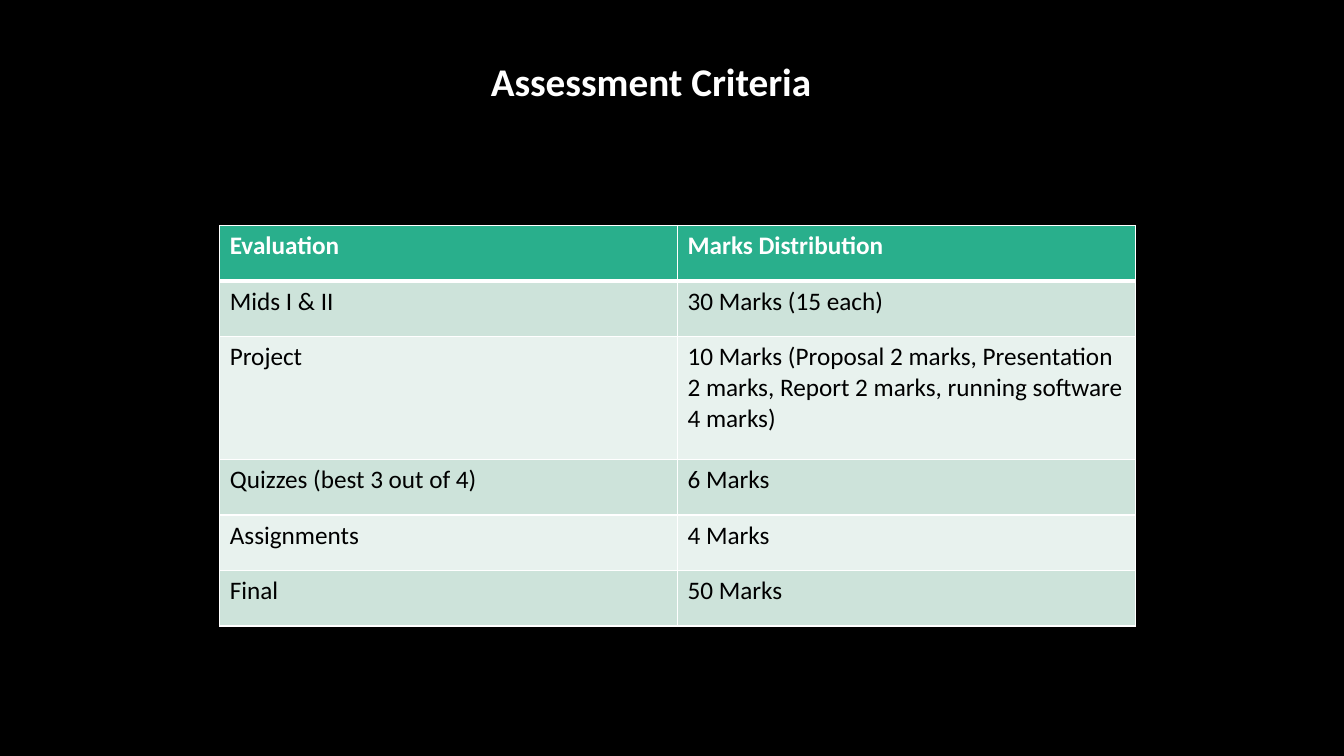
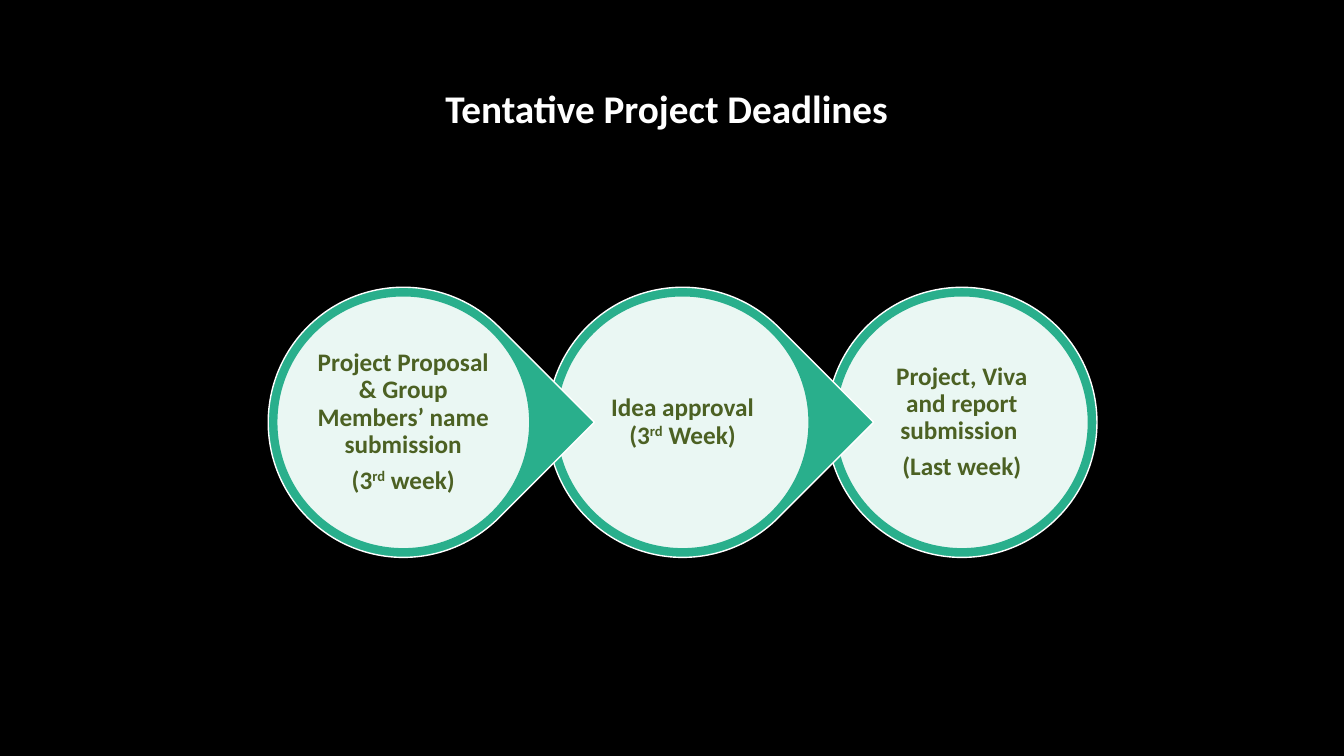
from dataclasses import dataclass
from typing import Any

from lxml.etree import SubElement
from pptx import Presentation
from pptx.dml.color import RGBColor
from pptx.enum.shapes import MSO_SHAPE as Preset
from pptx.enum.text import MSO_ANCHOR as Anchor, MSO_AUTO_SIZE as AutoSize, PP_ALIGN as Align
from pptx.oxml.ns import qn
from pptx.util import Inches, Pt

COLORS = {
    "black": "000000",
    "white": "FFFFFF",
    "green": "29AF8C",
    "band_dark": "CDE3DA",
    "band_light": "E8F2EE",
    "olive": "4C6123",
}
TITLE = {"name": "Calibri", "size": Pt(28), "bold": True, "color": "white"}
HEADER = {"name": "Calibri", "size": Pt(18), "bold": True, "color": "white"}
BODY = {**HEADER, "bold": False, "color": "black"}
STAGE = {**HEADER, "color": "olive"}

MARKS = [
    ("Evaluation", "Marks Distribution"),
    ("Mids I & II", "30 Marks (15 each)"),
    ("Project", "10 Marks (Proposal 2 marks, Presentation 2 marks, "
                "Report 2 marks, running software 4 marks)"),
    ("Quizzes (best 3 out of 4)", "6 Marks"),
    ("Assignments", "4 Marks"),
    ("Final", "50 Marks"),
]
ROW_HEIGHT = 0.55
PROJECT_ROW_HEIGHT = 1.22
COLUMN_WIDTH = 4.54

STAGE_LEFT, STAGE_TOP, STAGE_PITCH = 2.66, 2.85, 2.77
OUTER_SIZE, INNER_SIZE = 2.68, 2.51


@dataclass(frozen=True)
class Span:
    text: str
    raised: bool = False


@dataclass(frozen=True)
class Stage:
    paragraphs: tuple[tuple[Span, ...], ...]
    preset: Preset = Preset.TEAR
    rotation: int = 45


ORDINAL = Span("rd", raised=True)
STAGES = [
    Stage((
        (Span("Project Proposal & Group Members’ name submission"),),
        (Span("(3"), ORDINAL, Span(" week)")),
    )),
    Stage(((Span("Idea approval (3"), ORDINAL, Span(" Week)")),)),
    Stage((
        (Span("Project, Viva and report submission "),),
        (Span("(Last week)"),),
    ), Preset.OVAL, 0),
]


def rgb(name: str) -> RGBColor:
    return RGBColor.from_string(COLORS[name])


def add_span(para: Any, span: Span, style: dict[str, Any]) -> None:
    run = para.add_run()
    run.text = span.text
    for key, value in style.items():
        if key == "color":
            run.font.color.rgb = rgb(value)
        else:
            setattr(run.font, key, value)
    if span.raised:
        run._r.get_or_add_rPr().set("baseline", "30000")


def add_page(deck: Any, title: str, left: float, top: float) -> Any:
    page = deck.slides.add_slide(deck.slide_layouts[6])
    page.background.fill.solid()
    page.background.fill.fore_color.rgb = rgb("black")
    box = page.shapes.add_textbox(Inches(left), Inches(top), Inches(5.24), Inches(0.57))
    box.text_frame.word_wrap = True
    box.text_frame.auto_size = AutoSize.SHAPE_TO_FIT_TEXT
    add_span(box.text_frame.paragraphs[0], Span(title), TITLE)
    return page


def add_borders(cell: Any, widths: dict[str, int]) -> None:
    properties = cell._tc.get_or_add_tcPr()
    for side, width in widths.items():
        line = SubElement(properties, qn(f"a:ln{side}"), w=str(Pt(width)))
        fill = SubElement(line, qn("a:solidFill"))
        SubElement(fill, qn("a:srgbClr"), val=COLORS["white"])


def add_marks_table(page: Any) -> None:
    heights = [ROW_HEIGHT] * len(MARKS)
    heights[2] = PROJECT_ROW_HEIGHT
    table = page.shapes.add_table(
        len(MARKS), 2, Inches(2.18), Inches(2.24),
        Inches(2 * COLUMN_WIDTH), Inches(sum(heights)),
    ).table
    table.horz_banding = False
    for column in table.columns:
        column.width = Inches(COLUMN_WIDTH)
    for index, (texts, height) in enumerate(zip(MARKS, heights)):
        table.rows[index].height = Inches(height)
        band = "band_dark" if index % 2 else "band_light"
        color, style = (band, BODY) if index else ("green", HEADER)
        widths = {"L": 1, "R": 1, "T": 3 if index == 1 else 1, "B": 1 if index else 3}
        for cell, text in zip(table.rows[index].cells, texts):
            add_borders(cell, widths)
            cell.fill.solid()
            cell.fill.fore_color.rgb = rgb(color)
            add_span(cell.text_frame.paragraphs[0], Span(text), style)


def add_disc(page: Any, preset: Preset, left: float, top: float, size: float,
             fill: str, line: str) -> Any:
    disc = page.shapes.add_shape(preset, Inches(left), Inches(top), Inches(size), Inches(size))
    disc.shadow.inherit = False
    disc.fill.solid()
    disc.fill.fore_color.rgb = rgb(fill)
    disc.line.color.rgb = rgb(line)
    disc.line.width = Pt(1)
    return disc


def add_stage(page: Any, stage: Stage, left: float) -> None:
    outer = add_disc(page, stage.preset, left, STAGE_TOP, OUTER_SIZE, "green", "white")
    outer.rotation = stage.rotation
    inset = (OUTER_SIZE - INNER_SIZE) / 2
    inner = add_disc(page, Preset.OVAL, left + inset, STAGE_TOP + inset, INNER_SIZE,
                     "white", "green")
    fill_color = inner._element.spPr.find(qn("a:solidFill")).find(qn("a:srgbClr"))
    SubElement(fill_color, qn("a:alpha"), val="90000")
    frame = inner.text_frame
    frame.word_wrap = True
    frame.vertical_anchor = Anchor.MIDDLE
    for side in ("left", "top", "right", "bottom"):
        setattr(frame, f"margin_{side}", Inches(0.02))
    for index, spans in enumerate(stage.paragraphs):
        para = frame.add_paragraph() if index else frame.paragraphs[0]
        para.alignment = Align.CENTER
        para.line_spacing = 0.9
        para.space_after = Pt(6.3)
        for span in spans:
            add_span(para, span, STAGE)


def main() -> None:
    deck = Presentation()
    deck.slide_width, deck.slide_height = Inches(13.33), Inches(7.5)
    add_marks_table(add_page(deck, "Assessment Criteria", 4.77, 0.52))
    deadlines = add_page(deck, "Tentative Project Deadlines", 4.32, 0.79)
    for index, stage in reversed(list(enumerate(STAGES))):
        add_stage(deadlines, stage, STAGE_LEFT + index * STAGE_PITCH)
    deck.save("out.pptx")


if __name__ == "__main__":
    main()
